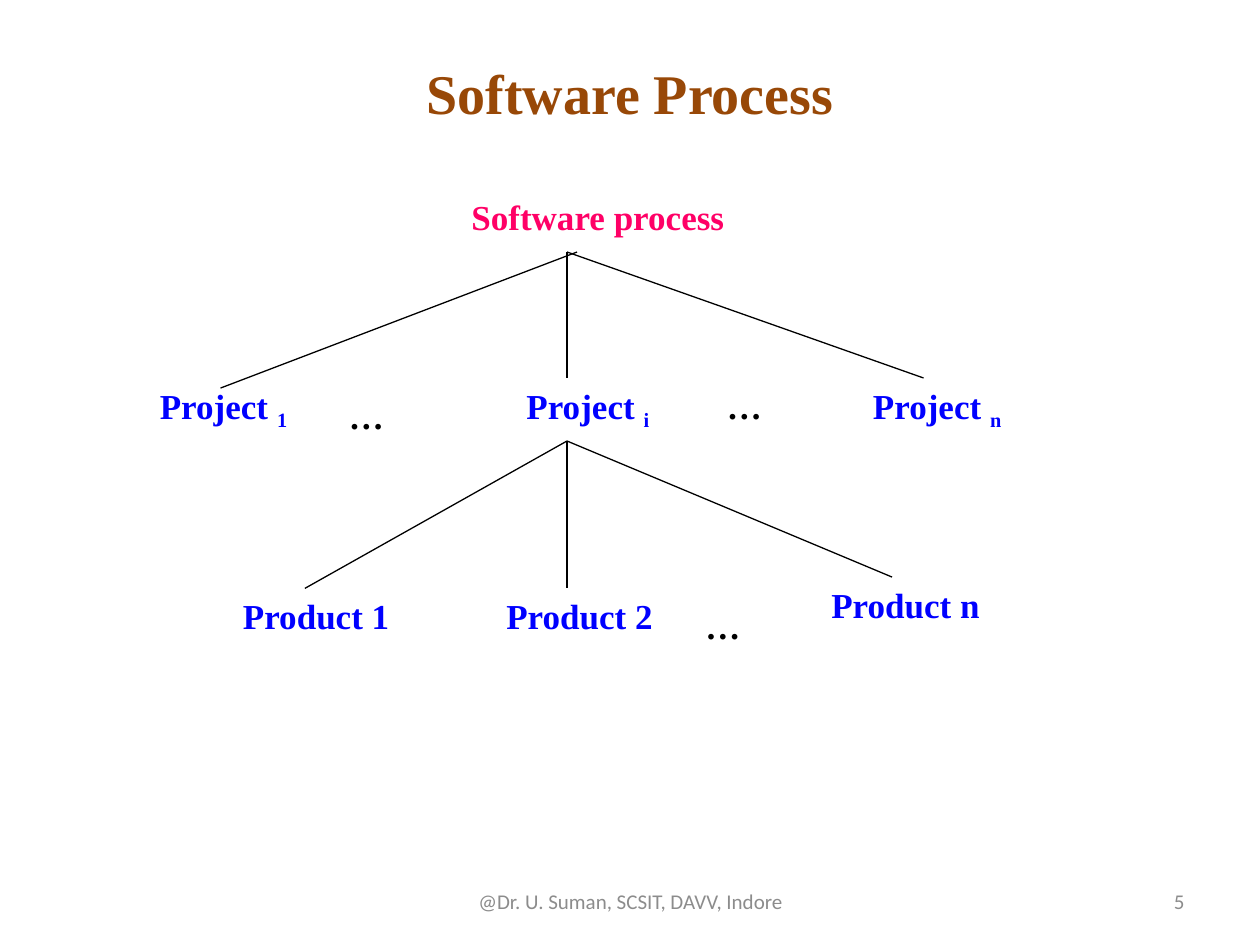
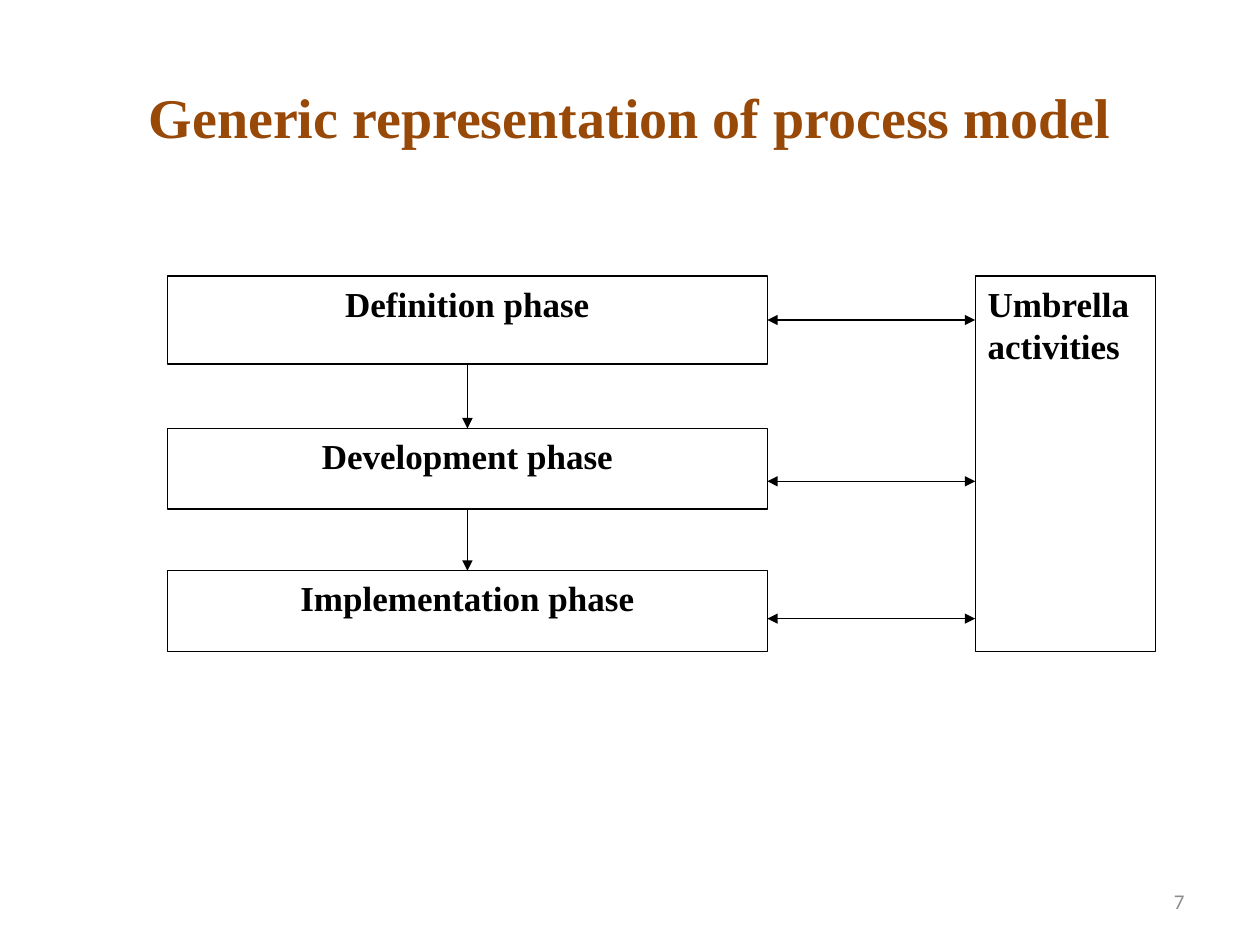
from pptx import Presentation
from pptx.dml.color import RGBColor
from pptx.enum import shapes, text
from pptx.oxml.ns import qn
from pptx.util import Inches, Pt
from lxml import etree

# Shared look
SERIF, SANS = "Times New Roman", "Calibri"
BLACK, WHITE, GREY = "000000", "FFFFFF", "8C8C8C"
BROWN, PINK, BLUE = "984807", "FF0066", "0000FF"
ALIGN = {"l": text.PP_ALIGN.LEFT, "c": text.PP_ALIGN.CENTER, "r": text.PP_ALIGN.RIGHT}
LABEL_H = 0.43
FOOTER_Y, FOOTER_H = 6.95, 0.4


def color(hex_code):
    return RGBColor.from_string(hex_code)


def write(sp, content, sub="", size=20, font=SERIF, fill=BLACK, bold=True,
          align="l", middle=False, after=0):
    """Write one paragraph, with an optional subscript, into a shape."""
    tf = sp.text_frame
    tf.word_wrap = True
    tf.vertical_anchor = text.MSO_ANCHOR.MIDDLE if middle else text.MSO_ANCHOR.TOP
    p = tf.paragraphs[0]
    p.alignment = ALIGN[align]
    p.space_after = Pt(after)
    for part in filter(None, (content, sub)):
        r = p.add_run()
        r.text = part
        r.font.size, r.font.name, r.font.bold = Pt(size), font, bold
        r.font.color.rgb = color(fill)
    if sub:
        r._r.get_or_add_rPr().set("baseline", "-25000")


def add_text(s, content, x, y, w, h=LABEL_H, **fmt):
    write(s.shapes.add_textbox(Inches(x), Inches(y), Inches(w), Inches(h)), content, **fmt)


def add_box(s, content, x, y, w, h, **fmt):
    sp = s.shapes.add_shape(shapes.MSO_SHAPE.RECTANGLE,
                            Inches(x), Inches(y), Inches(w), Inches(h))
    sp.shadow.inherit = False
    sp.fill.solid()
    sp.fill.fore_color.rgb = color(WHITE)
    sp.line.color.rgb = color(BLACK)
    sp.line.width = Pt(0.75)
    write(sp, content, after=10, **fmt)


def add_line(s, start, end, head=False, tail=False):
    """Draw a line; head and tail put arrowheads at its start and end."""
    c = s.shapes.add_connector(shapes.MSO_CONNECTOR.STRAIGHT,
                               *(Inches(v) for v in (*start, *end)))
    c.line.color.rgb = color(BLACK)
    c.line.width = Pt(0.75)
    for wanted, tag in ((head, "a:headEnd"), (tail, "a:tailEnd")):
        if wanted:
            etree.SubElement(c.line._get_or_add_ln(), qn(tag), type="triangle")
    etree.SubElement(c._element.spPr, qn("a:effectLst"))


def add_slide(prs, title, title_h, number, footer=None):
    """Add a slide with the shared title, footer and slide number."""
    s = prs.slides.add_slide(prs.slide_layouts[6])
    add_text(s, title, 0.5, 0.3, 9, title_h, size=32, fill=BROWN, align="c", middle=True)
    small = dict(size=12, font=SANS, fill=GREY, bold=False, middle=True)
    if footer:
        add_text(s, footer, 3.42, FOOTER_Y, 3.17, FOOTER_H, align="c", **small)
    add_text(s, str(number), 7.17, FOOTER_Y, 2.33, FOOTER_H, align="r", **small)
    return s


def process_tree(prs):
    s = add_slide(prs, "Software Process", 0.87, 5, "@Dr. U. Suman, SCSIT, DAVV, Indore")
    add_text(s, "Software process", 2.83, 1.5, 3.83, fill=PINK, align="c")

    # Projects and products
    for sub, x, w in (("1", 1.17, 2.25), ("i", 4.08, 1.83), ("n", 6.83, 2.08)):
        add_text(s, "Project ", x, 3, w, sub=sub, fill=BLUE)
    for name, x, y, w in (("1", 1.83, 4.67, 1.5), ("2", 3.92, 4.67, 1.83),
                          ("n", 6.5, 4.58, 2)):
        add_text(s, f"Product {name}", x, y, w, fill=BLUE)
    for x, y in ((2.67, 3.08), (5.67, 3), (5.5, 4.75)):
        add_text(s, "…", x, y, 1)

    # Branches
    root, project = (4.5, 2), (4.5, 3.5)
    add_line(s, (4.58, 2), (1.75, 3.08))
    for start, end in ((root, (4.5, 3)), (root, (7.33, 3)), (project, (2.42, 4.67)),
                       (project, (4.5, 4.67)), (project, (7.08, 4.58))):
        add_line(s, start, end)


def process_model(prs):
    s = add_slide(prs, "Generic representation of process model", 1.25, 7)
    left, width, umbrella_x = 1.33, 4.76, 7.74
    right, center = left + width, left + width / 2
    # Name, top, height and height of the link to the umbrella activities
    phases = (("Definition", 2.19, 0.7, 2.54), ("Development", 3.4, 0.64, 3.82),
              ("Implementation", 4.53, 0.64, 4.91))

    # Boxes
    for name, y, h, _ in phases:
        add_box(s, f"{name} phase", left, y, width, h, align="c")
    add_box(s, "Umbrella activities", umbrella_x, 2.19, 1.43, 2.98)

    # Arrows
    for _, _, _, y in phases:
        add_line(s, (right, y), (umbrella_x, y), head=True, tail=True)
    for (_, y, h, _), (_, next_y, _, _) in zip(phases, phases[1:]):
        add_line(s, (center, y + h), (center, next_y), tail=True)


def main():
    prs = Presentation()
    prs.slide_width, prs.slide_height = Inches(10), Inches(7.5)
    process_tree(prs)
    process_model(prs)
    prs.save("out.pptx")


main()
